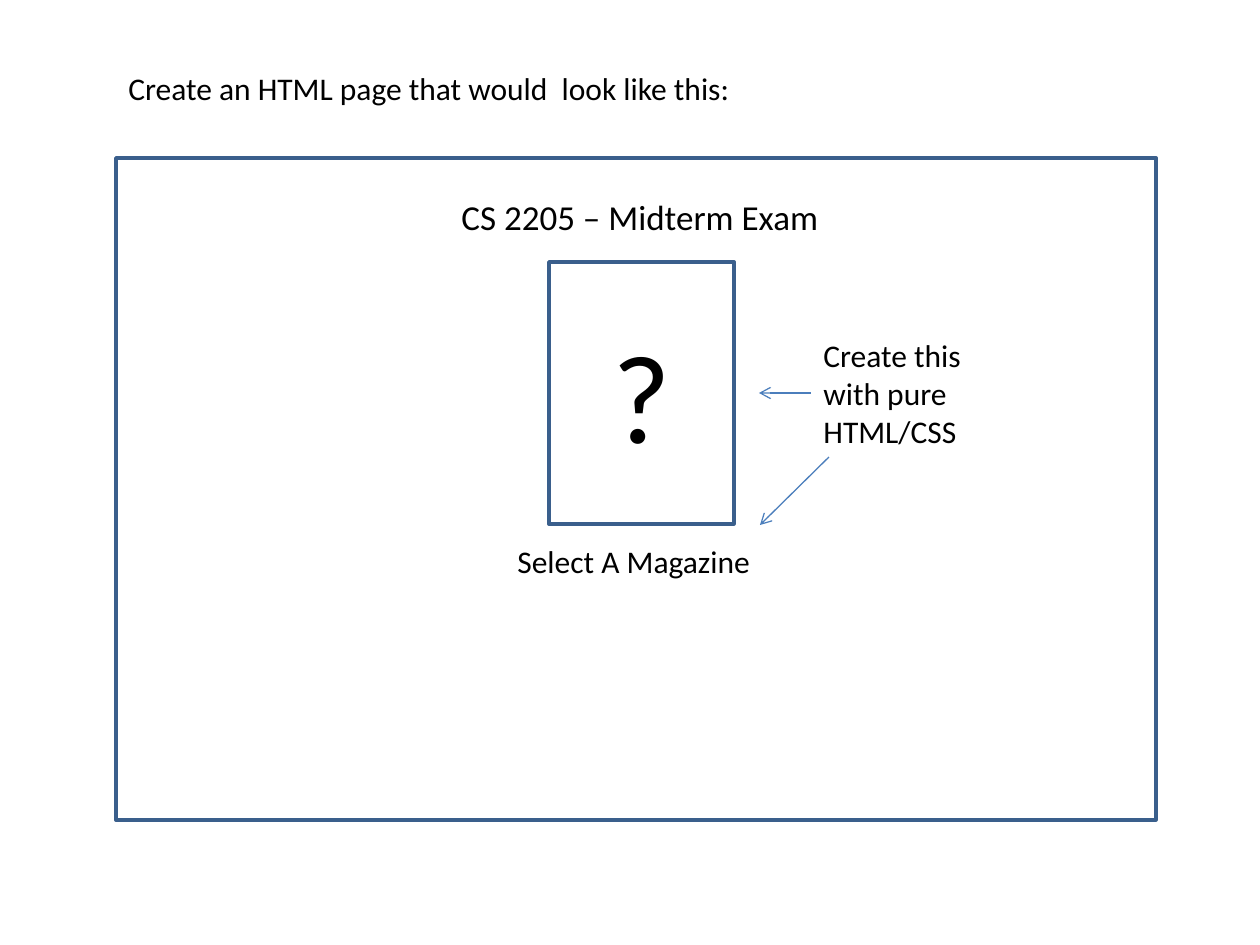
from pptx import Presentation
from pptx.dml.color import RGBColor
from pptx.enum.shapes import MSO_CONNECTOR, MSO_SHAPE
from pptx.enum.text import MSO_ANCHOR, MSO_AUTO_SIZE, PP_ALIGN
from pptx.oxml.ns import qn
from pptx.util import Pt
from lxml import etree

RECTANGLE, STRAIGHT = MSO_SHAPE.RECTANGLE, MSO_CONNECTOR.STRAIGHT
LEFT, CENTER, MIDDLE = PP_ALIGN.LEFT, PP_ALIGN.CENTER, MSO_ANCHOR.MIDDLE
GROW = MSO_AUTO_SIZE.SHAPE_TO_FIT_TEXT
COLORS = {"text": "000000", "border": "3A5F8C", "arrow": "4B7EBC"}
EMU_PER_PX = 914400 / 126


def px(*lengths):
    return [round(length * EMU_PER_PX) for length in lengths]


def write(frame, text, size, align):
    paragraph = frame.paragraphs[0]
    paragraph.text = text
    paragraph.alignment = align
    font_format = {"name": "Calibri", "size": Pt(size)}
    for attribute, value in font_format.items():
        setattr(paragraph.font, attribute, value)
    paragraph.font.color.rgb = RGBColor.from_string(COLORS["text"])


prs = Presentation()
prs.slide_width, prs.slide_height = px(1260, 945)
slide = prs.slides.add_slide(prs.slide_layouts[6])
shapes = slide.shapes

# Page outline and the magazine cover inside it
outlines = []
for box in [(116, 158, 1040, 662), (549, 262, 185, 262)]:
    outline = shapes.add_shape(RECTANGLE, *px(*box))
    outline.shadow.inherit = False
    outline.fill.background()
    outline.line.color.rgb = RGBColor.from_string(COLORS["border"])
    outline.line.width = Pt(2)
    outlines.append(outline)
page, cover = outlines
cover.text_frame.vertical_anchor = MIDDLE
write(cover.text_frame, "?", 72, CENTER)

# Instruction, heading, side note and caption
labels = [
    ("Create an HTML page that would  look like this:", (116, 63, 1071, 50), 18, LEFT, True),
    ("CS 2205 – Midterm Exam", (418, 189, 444, 55), 20, CENTER, True),
    ("Create this with pure HTML/CSS", (811, 330, 221, 127), 18, LEFT, True),
    ("Select A Magazine", (505, 536, 261, 50), 18, LEFT, False),
]
for text, box, size, align, wrap in labels:
    frame = shapes.add_textbox(*px(*box)).text_frame
    frame.word_wrap = wrap
    frame.auto_size = GROW
    write(frame, text, size, align)

# Arrows from the side note to the cover and the caption
for ends in [(811, 393, 759, 393), (829, 457, 760, 525)]:
    arrow = shapes.add_connector(STRAIGHT, *px(*ends))
    arrow.line.color.rgb = RGBColor.from_string(COLORS["arrow"])
    arrow.line.width = Pt(0.75)
    etree.SubElement(arrow.line._get_or_add_ln(), qn("a:tailEnd"), type="arrow")
    etree.SubElement(arrow._element.spPr, qn("a:effectLst"))

prs.save("out.pptx")
